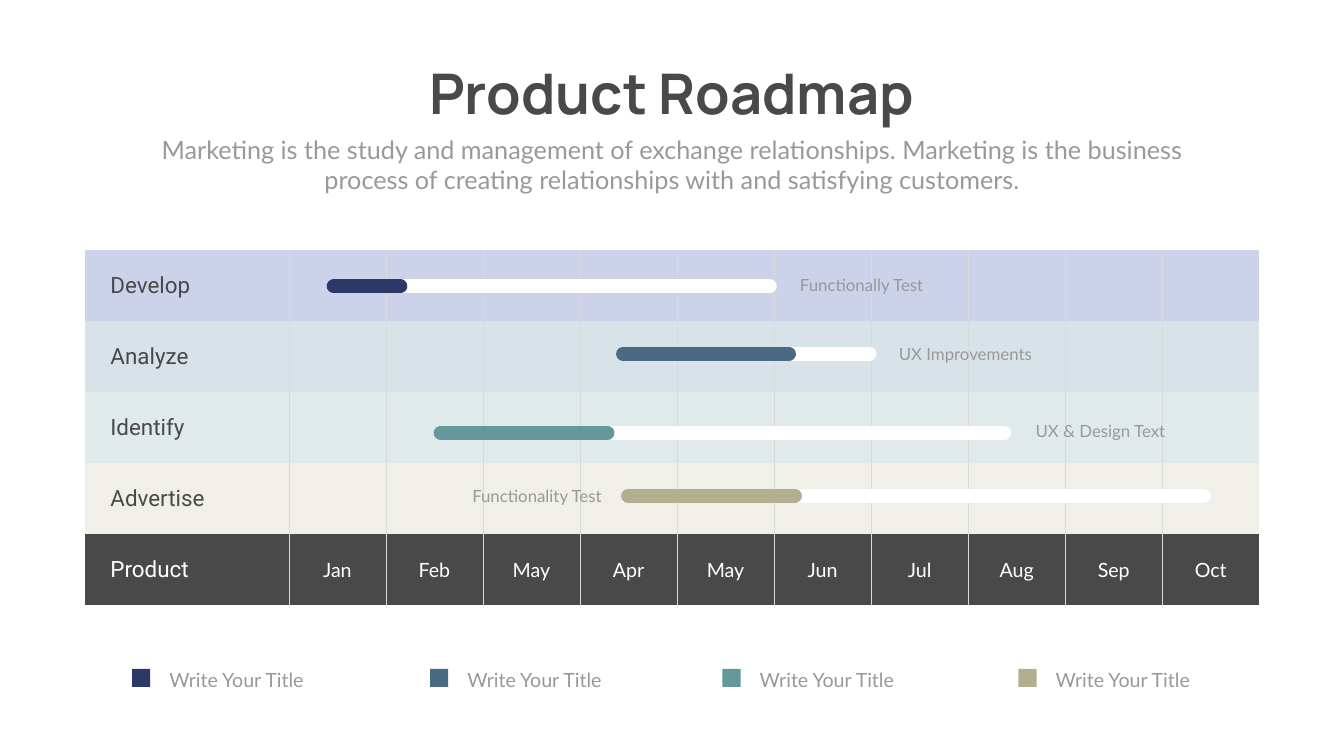
from pptx import Presentation
from pptx.dml.color import RGBColor
from pptx.enum.shapes import MSO_CONNECTOR, MSO_SHAPE
from pptx.enum.text import MSO_ANCHOR, MSO_AUTO_SIZE, PP_ALIGN
from pptx.oxml import parse_xml
from pptx.oxml.ns import nsdecls, qn
from pptx.util import Pt

LEFT, CENTER, RIGHT = PP_ALIGN.LEFT, PP_ALIGN.CENTER, PP_ALIGN.RIGHT
MIDDLE = MSO_ANCHOR.MIDDLE
GROW = MSO_AUTO_SIZE.SHAPE_TO_FIT_TEXT
STRAIGHT = MSO_CONNECTOR.STRAIGHT
RECTANGLE = MSO_SHAPE.RECTANGLE

WHITE = RGBColor(0xFF, 0xFF, 0xFF)
DARK = RGBColor(0x49, 0x49, 0x49)
GRAY = RGBColor(0x99, 0x99, 0x99)
RULE = RGBColor(0xD9, 0xD9, 0xD9)
NAVY = RGBColor(0x2C, 0x38, 0x67)
BLUE = RGBColor(0x49, 0x6A, 0x80)
TEAL = RGBColor(0x65, 0x98, 0x9B)
SAND = RGBColor(0xB3, 0xAF, 0x8E)
PALE_NAVY = RGBColor(0xCC, 0xD2, 0xE9)
PALE_BLUE = RGBColor(0xD8, 0xE2, 0xE9)
PALE_TEAL = RGBColor(0xE0, 0xEA, 0xEB)
PALE_SAND = RGBColor(0xF0, 0xEF, 0xE8)

PHASES = [
    ("Develop", PALE_NAVY),
    ("Analyze", PALE_BLUE),
    ("Identify", PALE_TEAL),
    ("Advertise", PALE_SAND),
]
MONTHS = ["Jan", "Feb", "May", "Apr", "May", "Jun", "Jul", "Aug", "Sep", "Oct"]
BARS = [
    (409, 476.6, 571.7, 1099.4, NAVY),
    (505.4, 889.9, 1126.8, 1242, BLUE),
    (618.5, 629.3, 867.6, 1434.2, TEAL),
    (708.5, 897.1, 1135.4, 1719.4, SAND),
]
LABELS = [
    ("Functionally Test", 1135.4, 388.8, 301.7, LEFT),
    ("UX Improvements", 1276.6, 487.4, 301.7, LEFT),
    ("Functionality Test", 667.4, 690.5, 301.7, LEFT),
    ("UX & Design Text", 1454.4, 596.9, 216.7, RIGHT),
]
LEGEND = [(188.6, NAVY), (614.2, BLUE), (1031.8, TEAL), (1454.4, SAND)]


class Roadmap:
    heading_font = "Manrope"
    body_font = "Lato"
    phase_font = "Roboto"

    def __init__(self, page):
        self.page = page

    def style(self, para, size, color, font, align=LEFT, bold=False):
        para.alignment = align
        para.font.size = Pt(size)
        para.font.name = font
        para.font.bold = bold
        para.font.color.rgb = color

    def text(self, words, left, top, width, height, size, color=GRAY,
             font=body_font, align=LEFT, bold=False, wrap=True):
        box = self.page.shapes.add_textbox(Pt(left), Pt(top), Pt(width), Pt(height))
        frame = box.text_frame
        frame.word_wrap = wrap
        frame.auto_size = GROW
        para = frame.paragraphs[0]
        para.text = words
        self.style(para, size, color, font, align, bold)
        return frame

    def legend_item(self, words, left, color):
        frame = self.text(words, left + 36, 938.2, 240.5, 54, 28)
        frame.margin_left = frame.margin_right = Pt(17.3)
        frame.margin_top = frame.margin_bottom = Pt(8.6)
        frame.paragraphs[0].line_spacing = Pt(40.8)
        swatch = self.page.shapes.add_shape(
            RECTANGLE, Pt(left), Pt(955.4), Pt(26), Pt(26))
        swatch.shadow.inherit = False
        swatch.fill.solid()
        swatch.fill.fore_color.rgb = color
        swatch.line.fill.background()

    def stroke(self, start, end, y, color):
        line = self.page.shapes.add_connector(STRAIGHT, Pt(start), Pt(y), Pt(end), Pt(y))
        line.line.color.rgb = color
        line.line.width = Pt(20)
        properties = line.element.spPr
        properties.find(qn("a:ln")).set("cap", "rnd")
        properties.append(parse_xml(f"<a:effectLst {nsdecls('a')}/>"))

    def progress_bar(self, y, start, done, end, color):
        self.stroke(start, end, y, WHITE)
        self.stroke(start, done, y, color)

    def borders(self, cell, sides):
        properties = cell._tc.get_or_add_tcPr()
        for position, side in enumerate("LRTB"):
            if side in sides:
                paint = f'<a:solidFill><a:srgbClr val="{RULE}"/></a:solidFill>'
            else:
                paint = "<a:noFill/>"
            properties.insert(position, parse_xml(
                f'<a:ln{side} {nsdecls("a")} w="{Pt(1)}">{paint}</a:ln{side}>'))

    def cell(self, cell, words, fill, size, color, font, align, sides):
        cell.fill.solid()
        cell.fill.fore_color.rgb = fill
        cell.vertical_anchor = MIDDLE
        para = cell.text_frame.paragraphs[0]
        para.text = words
        self.style(para, size, color, font, align)
        self.borders(cell, sides)

    def timeline(self, phases, months):
        rows = [(name, fill, DARK, [""] * len(months)) for name, fill in phases]
        rows.append(("Product", DARK, WHITE, months))
        table = self.page.shapes.add_table(
            len(rows), len(months) + 1, Pt(121.7), Pt(357.8), Pt(1676.9), Pt(506.5)).table
        table.first_row = table.horz_banding = False
        for index, column in enumerate(table.columns):
            column.width = Pt(138.6 if index else 290.9)
        for index, (name, fill, color, values) in enumerate(rows):
            table.rows[index].height = Pt(101.3)
            first = table.cell(index, 0)
            first.margin_left = Pt(36)
            self.cell(first, name, fill, 32, color, self.phase_font, LEFT, "R")
            for column, value in enumerate(values, 1):
                sides = "L" if column == len(months) else "LR"
                self.cell(table.cell(index, column), value, fill, 28, WHITE,
                          self.body_font, CENTER, sides)


def main():
    deck = Presentation()
    deck.slide_width, deck.slide_height = Pt(1919.5), Pt(1080)
    roadmap = Roadmap(deck.slides.add_slide(deck.slide_layouts[6]))
    roadmap.text("Product Roadmap", 575.3, 80.6, 768.2, 104.4, 80, DARK,
                 roadmap.heading_font, CENTER, bold=True, wrap=False)
    roadmap.text(
        "Marketing is the study and management of exchange relationships. "
        "Marketing is the business process of creating relationships with "
        "and satisfying customers.",
        210.2, 187.9, 1499, 94.3, 36, align=CENTER)
    roadmap.timeline(PHASES, MONTHS)
    for left, color in LEGEND:
        roadmap.legend_item("Write Your Title", left, color)
    for bar in BARS:
        roadmap.progress_bar(*bar)
    for words, left, top, width, align in LABELS:
        roadmap.text(words, left, top, width, 36, 24, align=align)
    deck.save("out.pptx")


if __name__ == "__main__":
    main()
